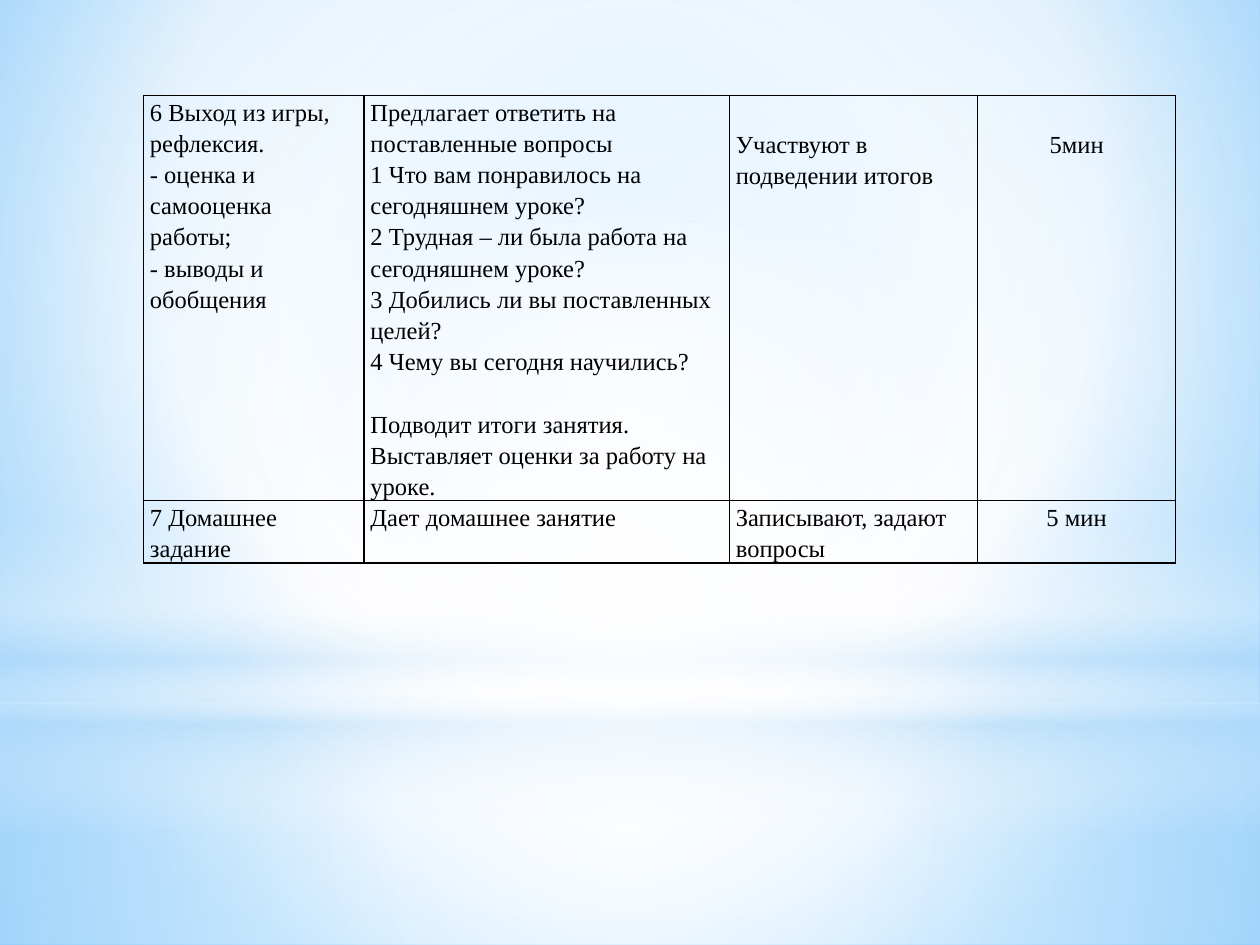
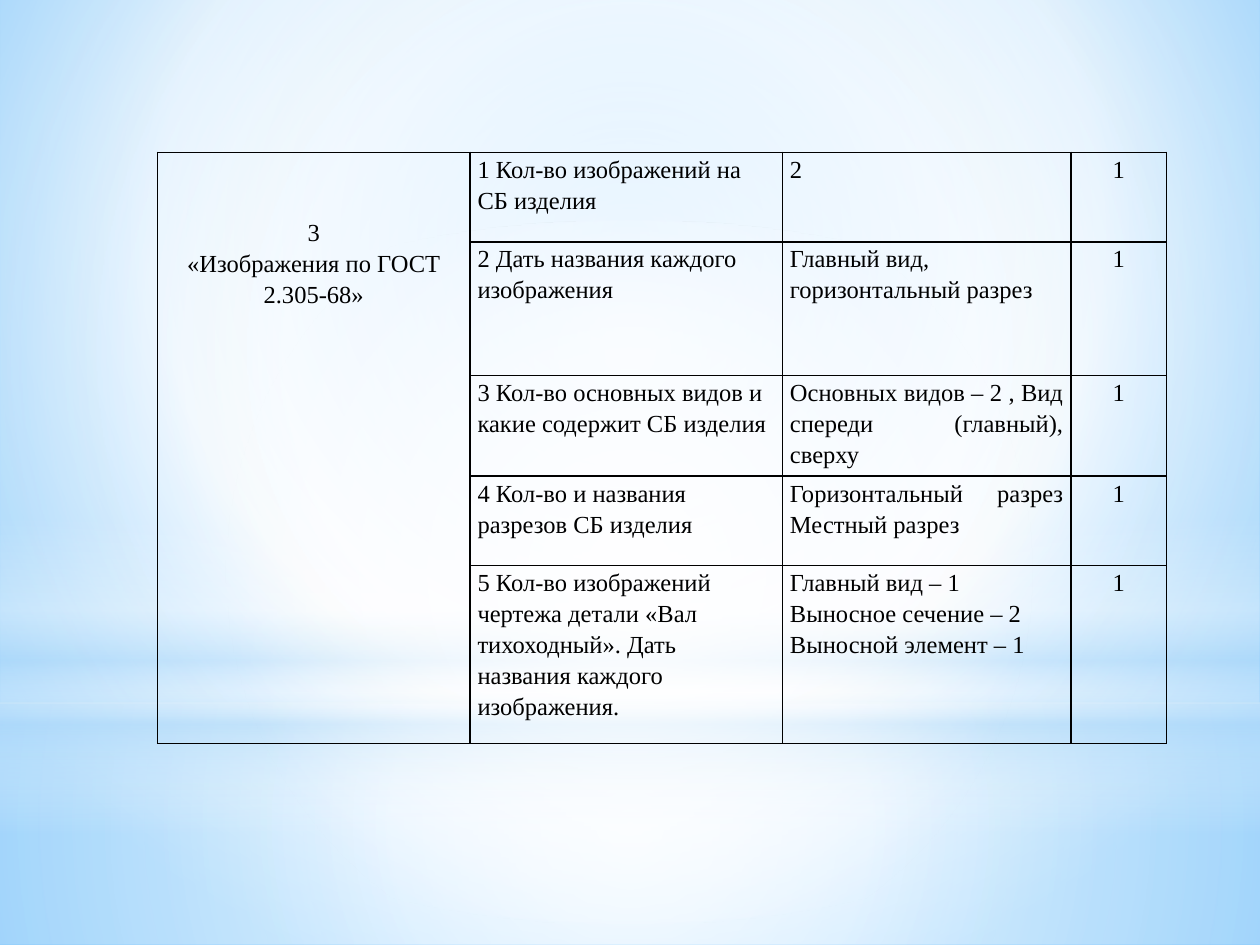
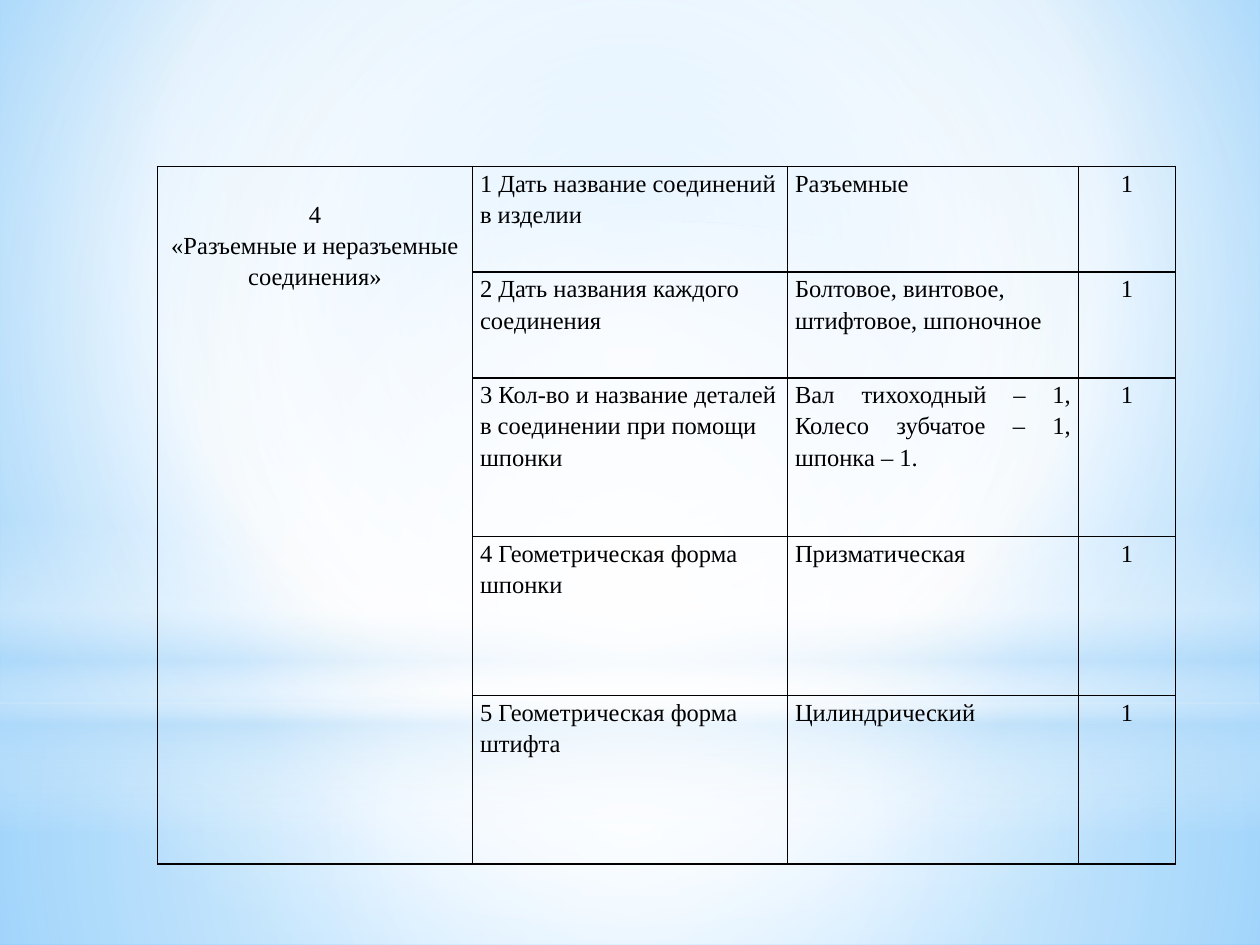
from dataclasses import dataclass

from lxml import etree
from pptx import Presentation
from pptx.dml.color import RGBColor
from pptx.enum.shapes import MSO_SHAPE as SHAPE
from pptx.enum.text import PP_ALIGN as ALIGN
from pptx.oxml.ns import qn
from pptx.util import Inches, Pt

FONT = "Times New Roman"
TEXT_SIZE = 14
BLACK, WHITE, PALE_BLUE = "000000", "FFFFFF", "B4DCFA"
LINE_GAP = 0.25  # height of one line of text, inches
CENTRE = (50, 50, 50, 50)


@dataclass
class Entry:
    """Cell text: lines skipped above it, and the paragraph that follows a gap."""
    text: str
    align: ALIGN = ALIGN.LEFT
    skipped_lines: int = 0
    gap_before: int = -1


def rgb(value):
    return RGBColor.from_string(value)


def child(parent, tag, **attributes):
    return etree.SubElement(parent, qn(tag), {k: str(v) for k, v in attributes.items()})


def paint_gradient(fill, owner, stops, focus=None):
    """Fill with (position, colour, opacity) stops, round a focus or downwards."""
    fill.gradient()
    gradient = owner.find(qn("a:gradFill"))
    gradient.clear()
    stop_list = child(gradient, "a:gsLst")
    for position, colour, opacity in stops:
        stop = child(stop_list, "a:gs", pos=position * 1000)
        tint = child(stop, "a:srgbClr", val=colour)
        if opacity < 100:
            child(tint, "a:alpha", val=opacity * 1000)
    if focus:
        sides = {side: share * 1000 for side, share in zip("ltrb", focus)}
        child(child(gradient, "a:path", path="circle"), "a:fillToRect", **sides)
    else:
        child(gradient, "a:lin", ang=90 * 60000, scaled=0)


def decorate_master(prs, slide):
    """Give the master its background and glow; the slide is used to make the shapes."""
    master = prs.slide_master
    background_fill = master.background.fill
    background_fill.solid()
    paint_gradient(background_fill, master.element.find(".//" + qn("p:bgPr")),
                   [(0, "9ED5FF", 100), (60, WHITE, 100), (100, "5BB9FF", 100)],
                   (20, 10, 20, 60))
    glows = [
        (SHAPE.RECTANGLE, 5.58, 1.92, CENTRE,
         [(0, WHITE, 91), (37, WHITE, 76), (100, PALE_BLUE, 79)]),
        (SHAPE.RECTANGLE, 0, 5.58, CENTRE,
         [(0, WHITE, 89), (48, WHITE, 62), (100, PALE_BLUE, 79)]),
        (SHAPE.RECTANGLE, 4.12, 2.5, None,
         [(0, WHITE, 0), (29, WHITE, 30), (45, PALE_BLUE, 40),
          (55, WHITE, 26), (65, PALE_BLUE, 60), (100, WHITE, 0)]),
        (SHAPE.OVAL, 1.75, 5.58, CENTRE, [(0, WHITE, 100), (56, WHITE, 0)]),
    ]
    for depth, (kind, top, height, focus, stops) in enumerate(glows):
        glow = slide.shapes.add_shape(kind, 0, Inches(top), prs.slide_width, Inches(height))
        glow.shadow.inherit = False
        glow.line.fill.background()
        paint_gradient(glow.fill, glow.element.spPr, stops, focus)
        master.shapes.element.insert(2 + depth, glow.element)


def write(frame, text, align=ALIGN.LEFT, size=TEXT_SIZE, colour=BLACK, gap_before=-1):
    frame.text = text
    for index, paragraph in enumerate(frame.paragraphs):
        paragraph.alignment = align
        paragraph.line_spacing = 1.15
        if index == gap_before:
            paragraph.space_before = Inches(LINE_GAP)
        for run in paragraph.runs:
            run.font.name = FONT
            run.font.size = Pt(size)
            run.font.color.rgb = rgb(colour)


def frame_cell(cell):
    properties = cell._tc.get_or_add_tcPr()
    for side in ("a:lnL", "a:lnR", "a:lnT", "a:lnB"):
        border = child(properties, side, w=Pt(1))
        child(child(border, "a:solidFill"), "a:srgbClr", val=BLACK)
    cell.fill.background()


def add_grid(slide, left, top, widths, heights, rows, inset):
    """Draw a ruled table; a None entry continues the cell above it."""
    table = slide.shapes.add_table(
        len(heights), len(widths), Inches(left), Inches(top),
        Inches(sum(widths)), Inches(sum(heights))).table
    table.first_row = table.horz_banding = False
    for column, width in zip(table.columns, widths):
        column.width = Inches(width)
    for row, height in zip(table.rows, heights):
        row.height = Inches(height)
    for r, entries in enumerate(rows):
        for c, entry in enumerate(entries):
            cell = table.cell(r, c)
            frame_cell(cell)
            if entry is None:
                continue
            cell.margin_left = cell.margin_right = Inches(inset)
            cell.margin_top = Inches(entry.skipped_lines * LINE_GAP)
            cell.margin_bottom = 0
            write(cell.text_frame, entry.text, entry.align, gap_before=entry.gap_before)
    return table


def add_lesson_stages(slide):
    reflection = [
        Entry("6 Выход из игры, рефлексия.\n- оценка и самооценка работы;\n"
              "- выводы и обобщения"),
        Entry("Предлагает ответить на поставленные вопросы\n"
              "1 Что вам понравилось на сегодняшнем уроке?\n"
              "2 Трудная – ли была работа на сегодняшнем уроке?\n"
              "3 Добились ли вы поставленных целей?\n"
              "4 Чему вы сегодня научились?\n"
              "Подводит итоги занятия.\n"
              "Выставляет оценки за работу на уроке.", gap_before=5),
        Entry("Участвуют в подведении итогов", skipped_lines=1),
        Entry("5мин", ALIGN.CENTER, skipped_lines=1),
    ]
    homework = [
        Entry("7 Домашнее задание"),
        Entry("Дает домашнее занятие"),
        Entry("Записывают, задают вопросы"),
        Entry("5 мин", ALIGN.CENTER),
    ]
    add_grid(slide, 1.14, 0.76, [1.75, 2.9, 1.97, 1.57], [3.21, 0.49],
             [reflection, homework], inset=0.05)


def add_quiz(slide, top, widths, heights, topic, questions):
    """Draw a topic beside its numbered questions, answers and one-point scores."""
    rows = [[None if number > 1 else topic, Entry(f"{number} {question}"), answer,
             Entry("1", ALIGN.CENTER)]
            for number, (question, answer) in enumerate(questions, 1)]
    table = add_grid(slide, 1.25, top, widths, heights, rows, inset=0.06)
    table.cell(0, 0).merge(table.cell(len(rows) - 1, 0))


def add_views_quiz(slide):
    add_quiz(
        slide, 1.21, [2.48, 2.48, 2.29, 0.76], [0.71, 1.06, 0.8, 0.71, 1.41],
        Entry("3\n«Изображения по ГОСТ 2.305-68»", ALIGN.CENTER, skipped_lines=2),
        [("Кол-во изображений на СБ изделия", Entry("2", ALIGN.JUSTIFY)),
         ("Дать названия каждого изображения",
          Entry("Главный вид, горизонтальный разрез")),
         ("Кол-во основных видов и какие содержит СБ изделия",
          Entry("Основных видов – 2 , Вид спереди (главный), сверху", ALIGN.JUSTIFY)),
         ("Кол-во и названия разрезов СБ изделия",
          Entry("Горизонтальный разрез Местный разрез", ALIGN.JUSTIFY)),
         ("Кол-во изображений чертежа детали «Вал тихоходный». "
          "Дать названия каждого изображения.",
          Entry("Главный вид – 1\vВыносное сечение – 2\vВыносной элемент – 1"))])


def add_joints_quiz(slide):
    add_quiz(
        slide, 1.32, [2.5, 2.5, 2.31, 0.77], [0.84, 0.84, 1.26, 1.26, 1.34],
        Entry("4\n«Разъемные и неразъемные соединения»", ALIGN.CENTER, skipped_lines=1),
        [("Дать название соединений в изделии", Entry("Разъемные")),
         ("Дать названия каждого соединения",
          Entry("Болтовое, винтовое, штифтовое, шпоночное")),
         ("Кол-во и название деталей в соединении при помощи шпонки",
          Entry("Вал тихоходный – 1, Колесо зубчатое – 1, шпонка – 1.", ALIGN.JUSTIFY)),
         ("Геометрическая форма шпонки", Entry("Призматическая", ALIGN.JUSTIFY)),
         ("Геометрическая форма штифта", Entry("Цилиндрический", ALIGN.JUSTIFY))])


def main():
    prs = Presentation()
    prs.slide_width, prs.slide_height = Inches(10), Inches(7.5)
    blank = prs.slide_layouts[6]
    stages, views, joints = (prs.slides.add_slide(blank) for _ in range(3))
    decorate_master(prs, stages)
    add_lesson_stages(stages)
    add_views_quiz(views)
    add_joints_quiz(joints)
    prs.save("out.pptx")


if __name__ == "__main__":
    main()
